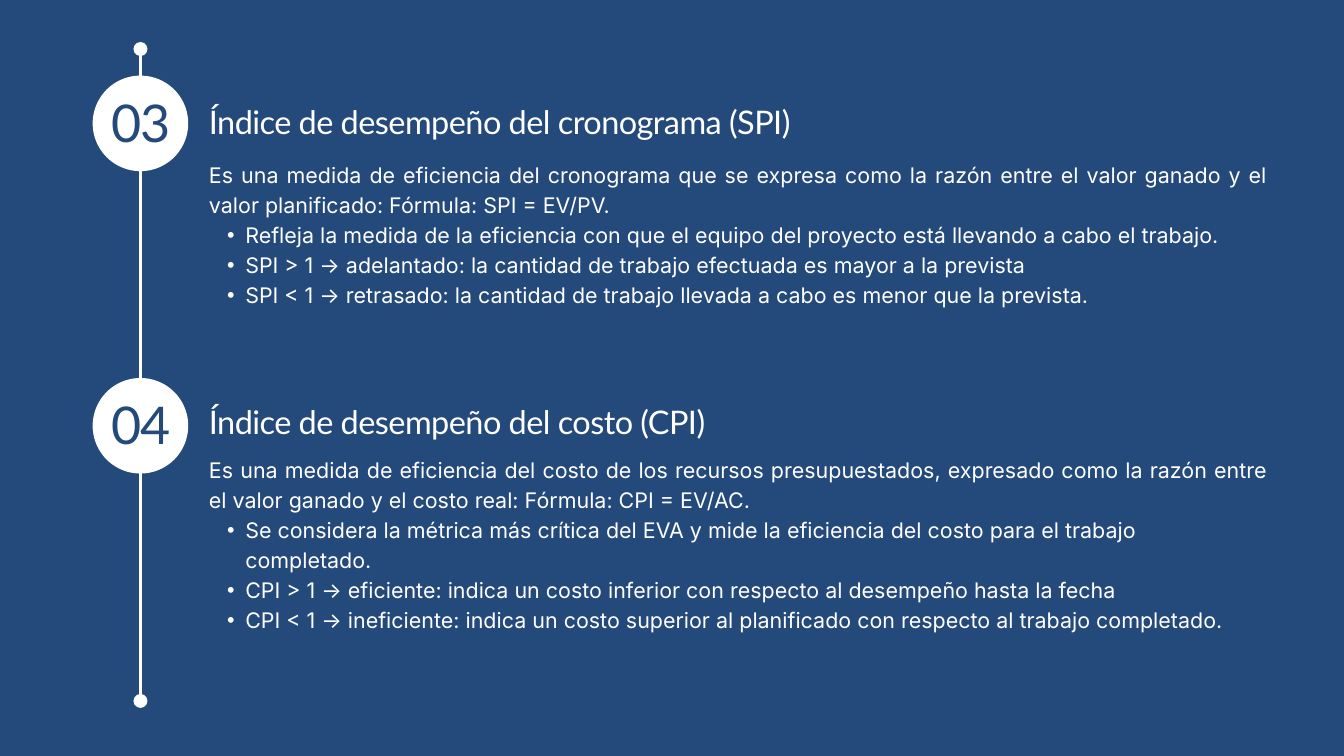
from lxml.etree import SubElement
from pptx import Presentation
from pptx.dml.color import RGBColor
from pptx.enum.shapes import MSO_CONNECTOR as Connector, MSO_SHAPE as Shape
from pptx.enum.text import MSO_AUTO_SIZE as AutoSize, PP_ALIGN as Align
from pptx.oxml.ns import qn
from pptx.util import Pt

COLORS = {"navy": "24497B", "white": "FFFFFF"}

FORMATS = {
    "number": {
        "font": {"name": "Lato", "size": Pt(55.7)},
        "para": {"alignment": Align.CENTER, "line_spacing": Pt(55.7)},
        "color": "navy", "tracking": -100,
    },
    "title": {
        "font": {"name": "Lato", "size": Pt(34.8)},
        "para": {"alignment": Align.LEFT, "line_spacing": Pt(34.8)},
        "color": "white", "tracking": -60,
    },
    "body": {
        "font": {"name": "Inter", "size": Pt(23)},
        "para": {"alignment": Align.JUSTIFY, "line_spacing": Pt(32.2)},
        "color": "white", "tracking": 0,
    },
    "bullet": {
        "font": {"name": "Inter", "size": Pt(23)},
        "para": {"alignment": Align.LEFT, "line_spacing": Pt(32.2), "level": 1},
        "color": "white", "tracking": 0,
    },
}
FRAME = {
    "margin_left": 0, "margin_top": 0, "margin_right": 0, "margin_bottom": 0,
    "word_wrap": True, "auto_size": AutoSize.SHAPE_TO_FIT_TEXT,
}

SECTION_STEP = 324
SECTIONS = [
    {
        "number": "03",
        "title": "Índice de desempeño del cronograma (SPI)",
        "title_top": 116.6,
        "body_top": 169.2,
        "body": "Es una medida de eficiencia del cronograma que se expresa como la razón "
                "entre el valor ganado y el valor planificado: Fórmula: SPI = EV/PV.",
        "bullets": [
            "Refleja la medida de la eficiencia con que el equipo del proyecto está "
            "llevando a cabo el trabajo.",
            "SPI > 1 → adelantado: la cantidad de trabajo efectuada es mayor a la prevista",
            "SPI < 1 → retrasado: la cantidad de trabajo llevada a cabo es menor que la prevista.",
        ],
    },
    {
        "number": "04",
        "title": "Índice de desempeño del costo (CPI)",
        "title_top": 437.8,
        "body_top": 484.6,
        "body": "Es una medida de eficiencia del costo de los recursos presupuestados, expresado "
                "como la razón entre el valor ganado y el costo real: Fórmula: CPI = EV/AC.",
        "bullets": [
            "Se considera la métrica más crítica del EVA y mide la eficiencia del costo para "
            "el trabajo completado.",
            "CPI > 1 → eficiente: indica un costo inferior con respecto al desempeño hasta la fecha",
            "CPI < 1 → ineficiente: indica un costo superior al planificado con respecto al "
            "trabajo completado.",
        ],
    },
]


def apply(target, values):
    for name, value in values.items():
        setattr(target, name, value)


class PageBuilder:
    def __init__(self, page, colors, formats):
        self.page = page
        self.colors = colors
        self.formats = formats

    def color(self, name):
        return RGBColor.from_string(self.colors[name])

    def background(self, color):
        fill = self.page.background.fill
        fill.solid()
        fill.fore_color.rgb = self.color(color)

    def timeline(self, x, bottom, top):
        line = self.page.shapes.add_connector(
            Connector.STRAIGHT, Pt(x), Pt(bottom), Pt(x), Pt(top))
        line.line.width = Pt(3)
        line.line.color.rgb = self.color("white")
        outline = line.line._get_or_add_ln()
        for end in ("a:headEnd", "a:tailEnd"):
            SubElement(outline, qn(end), type="oval", w="lg", len="lg")
        SubElement(line._element.spPr, qn("a:effectLst"))

    def circle(self, left, top, size):
        disc = self.page.shapes.add_shape(
            Shape.OVAL, Pt(left), Pt(top), Pt(size), Pt(size))
        disc.shadow.inherit = False
        disc.fill.solid()
        disc.fill.fore_color.rgb = self.color("white")
        disc.line.fill.background()

    def text(self, left, top, width, height, lines):
        box = self.page.shapes.add_textbox(Pt(left), Pt(top), Pt(width), Pt(height))
        frame = box.text_frame
        apply(frame, FRAME)
        for index, (style, words) in enumerate(lines):
            para = frame.add_paragraph() if index else frame.paragraphs[0]
            values = self.formats[style]
            apply(para, values["para"])
            if style == "bullet":
                self.bullet(para)
            span = para.add_run()
            span.text = words
            apply(span.font, values["font"])
            span.font.color.rgb = self.color(values["color"])
            span.font._element.set("spc", str(values["tracking"]))

    def bullet(self, para):
        properties = para._p.get_or_add_pPr()
        properties.set("marL", str(Pt(38.9)))
        properties.set("indent", str(Pt(-19.4)))
        SubElement(properties, qn("a:buFont"), typeface="Arial")
        SubElement(properties, qn("a:buChar"), char="•")


def main():
    deck = Presentation()
    deck.slide_width, deck.slide_height = Pt(1440), Pt(810)
    page = deck.slides.add_slide(deck.slide_layouts[6])
    builder = PageBuilder(page, COLORS, FORMATS)
    builder.background("navy")
    builder.timeline(150.5, 751, 52.5)
    for index, section in enumerate(SECTIONS):
        offset = index * SECTION_STEP
        builder.circle(99.3, 81 + offset, 102.4)
        builder.text(110.9, 108 + offset, 80, 57.6, [("number", section["number"])])
        builder.text(223.9, section["title_top"], 631, 36, [("title", section["title"])])
        bullets = [("bullet", words) for words in section["bullets"]]
        builder.text(223.9, section["body_top"], 1135.4, 157,
                     [("body", section["body"]), *bullets])
    deck.save("out.pptx")


if __name__ == "__main__":
    main()
